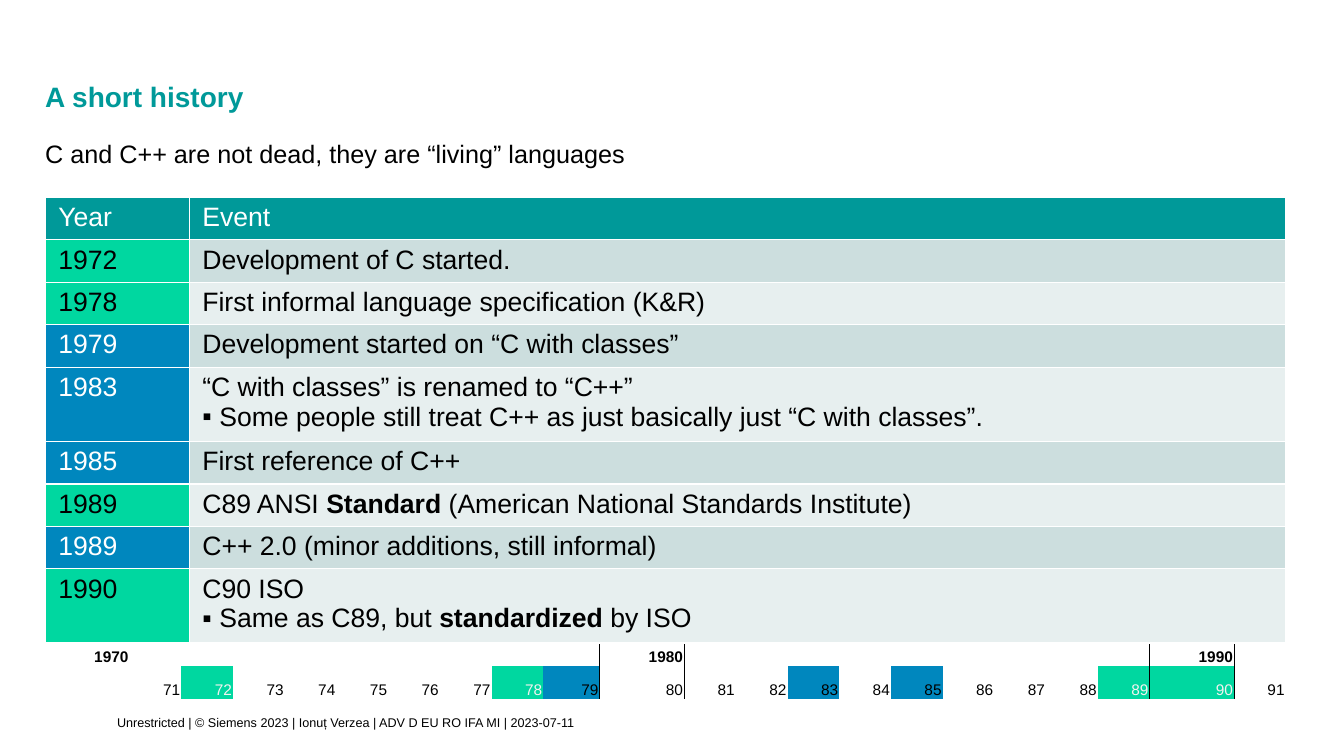
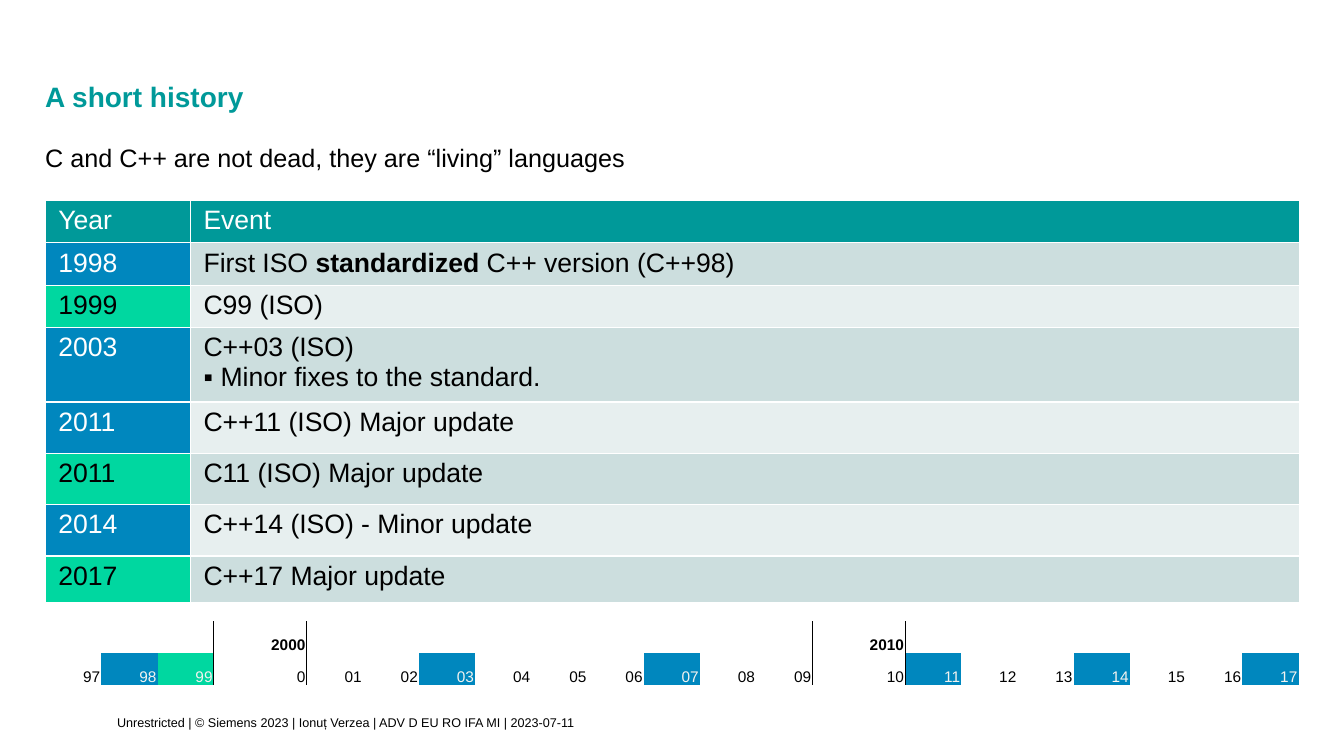
from lxml.etree import SubElement
from pptx import Presentation
from pptx.dml.color import RGBColor as Rgb
from pptx.enum.text import MSO_ANCHOR as Anchor, PP_ALIGN as Align
from pptx.oxml.ns import qn
from pptx.util import Cm, Pt

FONT = "Arial"
LEFT = 1.14
NO_STYLE = "{2D5ABB26-0587-4C30-8999-92F81FD0307C}"
COLOURS = {
    "teal": "009999", "C": "00D7A0", "C++": "0087BE",
    "band_dark": "CCDEDE", "band_light": "E7EFEF",
    "black": "000000", "white": "FFFFFF", "light": "F3F3F0",
}
YEAR_TEXT = {"C": "black", "C++": "white"}

# Text boxes on every slide: text, left, top, width, height, size, colour, bold, anchor, line spacing
TITLE = ("A short history", LEFT, 1.32, 27.41, 1.55, 20, "teal", True, Anchor.BOTTOM, 0.9)
FOOTER = ("Unrestricted | © Siemens 2023 | Ionuț Verzea | ADV D EU RO IFA MI | 2023-07-11",
          2.95, 17.53, 25.6, 1.34, 9, "black", False, Anchor.MIDDLE, 1.0)
SUBTITLE = "C and C++ are not dead, they are “living” languages"

# Later lines of an event are bullets; asterisks enclose bold words
SLIDES = [
    {
        "subtitle_top": 3.4, "table_top": 4.98, "width": 31.27, "year_width": 3.63,
        "row_heights": [1.04, 1.07, 1.07, 1.07, 1.85, 1.07, 1.07, 1.07, 1.85],
        "events": [
            ("1972", "C", ["Development of C started."]),
            ("1978", "C", ["First informal language specification (K&R)"]),
            ("1979", "C++", ["Development started on “C with classes”"]),
            ("1983", "C++", ["“C with classes” is renamed to “C++”",
                             "Some people still treat C++ as just basically just “C with classes”."]),
            ("1985", "C++", ["First reference of C++"]),
            ("1989", "C", ["C89 ANSI *Standard* (American National Standards Institute)"]),
            ("1989", "C++", ["C++ 2.0 (minor additions, still informal)"]),
            ("1990", "C", ["C90 ISO", "Same as C89, but *standardized* by ISO"]),
        ],
        "timeline_top": 15.95, "timeline_row": 0.83, "years": range(1970, 1992),
        "wide_years": {1970: 2.13, 1979: 1.42, 1980: 2.13, 1990: 2.13},
        "special_labels": {1970: ""},
        "marks": {1972: "C", 1978: "C", 1979: "C++", 1983: "C++", 1985: "C++",
                  1989: "C", 1990: "C"},
        "mark_text": {"C": "light", "C++": "black"},
    },
    {
        "subtitle_top": 3.5, "table_top": 5.05, "width": 31.6, "year_width": 3.66,
        "row_heights": [1.07, 1.07, 1.07, 1.85, 1.3, 1.28, 1.3, 1.17],
        "events": [
            ("1998", "C++", ["First ISO *standardized* C++ version (C++98)"]),
            ("1999", "C", ["C99 (ISO)"]),
            ("2003", "C++", ["C++03 (ISO)", "Minor fixes to the standard."]),
            ("2011", "C++", ["C++11 (ISO) Major update"]),
            ("2011", "C", ["C11 (ISO) Major update"]),
            ("2014", "C++", ["C++14 (ISO) - Minor update"]),
            ("2017", "C", ["C++17 Major update"]),
        ],
        "timeline_top": 15.65, "timeline_row": 0.81, "years": range(1997, 2018),
        "wide_years": {2000: 2.34, 2010: 2.34},
        "special_labels": {2000: "0"},
        "marks": {1998: "C++", 1999: "C", 2003: "C++", 2007: "C++", 2011: "C++",
                  2014: "C++", 2017: "C++"},
        "mark_text": {"C": "light", "C++": "light"},
    },
]


def add_plain_table(page, top, widths, heights):
    frame = page.shapes.add_table(len(heights), len(widths), Cm(LEFT), Cm(top),
                                  Cm(sum(widths)), Cm(sum(heights)))
    table = frame.table
    table.first_row = table.horz_banding = False
    table._tbl.tblPr.find(qn("a:tableStyleId")).text = NO_STYLE
    for column, width in zip(table.columns, widths):
        column.width = Cm(width)
    for row, height in zip(table.rows, heights):
        row.height = Cm(height)
    return table


def fill_cell(cell, lines, size, colour, fill=None, sides="", line="black", bold=False):
    # Borders come before the fill
    properties = cell._tc.get_or_add_tcPr()
    for side in sides:
        border = SubElement(properties, qn("a:ln" + side), w=str(Pt(1)))
        paint = SubElement(border, qn("a:solidFill"))
        SubElement(paint, qn("a:srgbClr"), val=COLOURS[line])
    if fill:
        cell.fill.solid()
        cell.fill.fore_color.rgb = Rgb.from_string(COLOURS[fill])
    else:
        cell.fill.background()

    for number, text in enumerate(lines):
        para = cell.text_frame.paragraphs[0] if number == 0 else cell.text_frame.add_paragraph()
        if number:
            layout = para._p.get_or_add_pPr()
            layout.set("marL", str(Cm(0.43)))
            layout.set("indent", str(-Cm(0.43)))
            SubElement(layout, qn("a:buFont"), typeface=FONT)
            SubElement(layout, qn("a:buChar"), char="▪")
        for part, words in enumerate(text.split("*")):
            if words:
                span = para.add_run()
                span.text = words
                span.font.name, span.font.size = FONT, Pt(size)
                span.font.bold = bold or part % 2 == 1
                span.font.color.rgb = Rgb.from_string(COLOURS[colour])


deck = Presentation()
deck.slide_width, deck.slide_height = Cm(33.87), Cm(19.05)

for content in SLIDES:
    page = deck.slides.add_slide(deck.slide_layouts[6])

    # Title, subtitle and footer
    subtitle = (SUBTITLE, LEFT, content["subtitle_top"], 22.78, 1.1, 18, "black", False, Anchor.TOP, 1.1)
    for text, left, top, width, height, size, colour, bold, anchor, spacing in (TITLE, subtitle, FOOTER):
        box = page.shapes.add_textbox(Cm(left), Cm(top), Cm(width), Cm(height))
        frame = box.text_frame
        frame.word_wrap = True
        frame.vertical_anchor = anchor
        frame.margin_left = frame.margin_right = frame.margin_top = frame.margin_bottom = 0
        frame.text = text
        para = frame.paragraphs[0]
        para.line_spacing = spacing
        font = para.runs[0].font
        font.name, font.size, font.bold = FONT, Pt(size), bold
        font.color.rgb = Rgb.from_string(COLOURS[colour])

    # Timeline: decades above, years below, a rule before each new decade
    years, wide_years = content["years"], content["wide_years"]
    year_width = (content["width"] - sum(wide_years.values())) / (len(years) - len(wide_years))
    timeline = add_plain_table(page, content["timeline_top"],
                               [wide_years.get(year, year_width) for year in years],
                               [content["timeline_row"]] * 2)
    for index, year in enumerate(years):
        decade_start = year % 10 == 0
        sides = "L" if decade_start and index else "R" if year % 10 == 9 else ""
        mark = content["marks"].get(year)
        label = content["special_labels"].get(year, f"{year % 100:02}")
        fill_cell(timeline.cell(0, index), [str(year) if decade_start else ""], 11, "black",
                  sides=sides, bold=True)
        fill_cell(timeline.cell(1, index), [label], 11, content["mark_text"].get(mark, "black"),
                  mark, sides)
    for cell in timeline.iter_cells():
        cell.margin_left = cell.margin_right = cell.margin_top = Cm(0.03)
        cell.margin_bottom = 0
        cell.vertical_anchor = Anchor.BOTTOM
        cell.text_frame.paragraphs[0].alignment = Align.RIGHT

    # Table of events
    events = add_plain_table(page, content["table_top"],
                             [content["year_width"], content["width"] - content["year_width"]],
                             content["row_heights"])
    for column, heading in enumerate(("Year", "Event")):
        fill_cell(events.cell(0, column), [heading], 19, "white", "teal", "LRTB", "white")
    for row, (year, language, lines) in enumerate(content["events"], start=1):
        band = "band_dark" if row % 2 else "band_light"
        fill_cell(events.cell(row, 0), [year], 19, YEAR_TEXT[language], language, "LRTB", "white")
        fill_cell(events.cell(row, 1), lines, 19, "black", band, "LRTB", "white")
    for cell in events.iter_cells():
        cell.margin_left = cell.margin_right = Cm(0.33)
        cell.margin_top = cell.margin_bottom = Cm(0.13)

deck.save("out.pptx")
